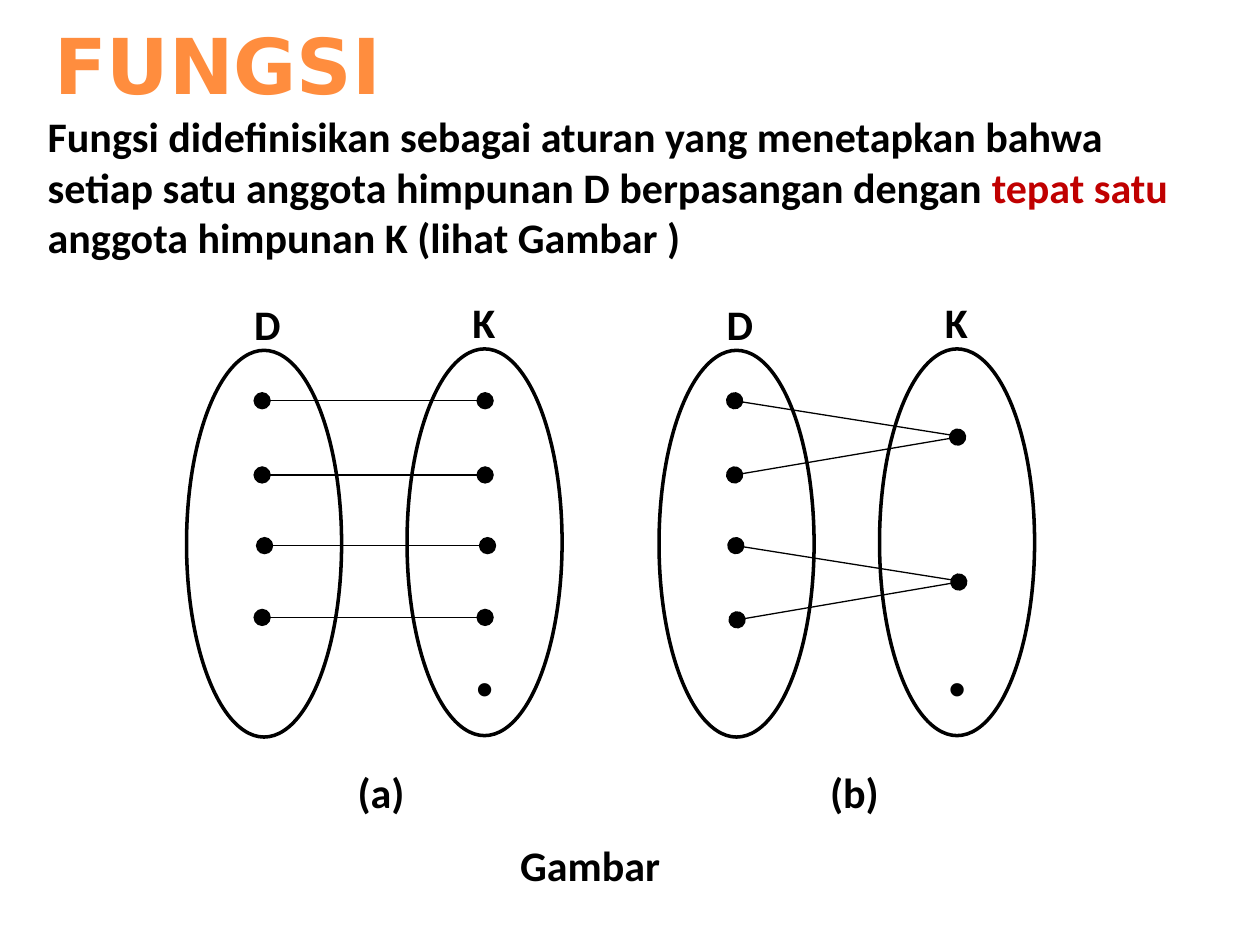
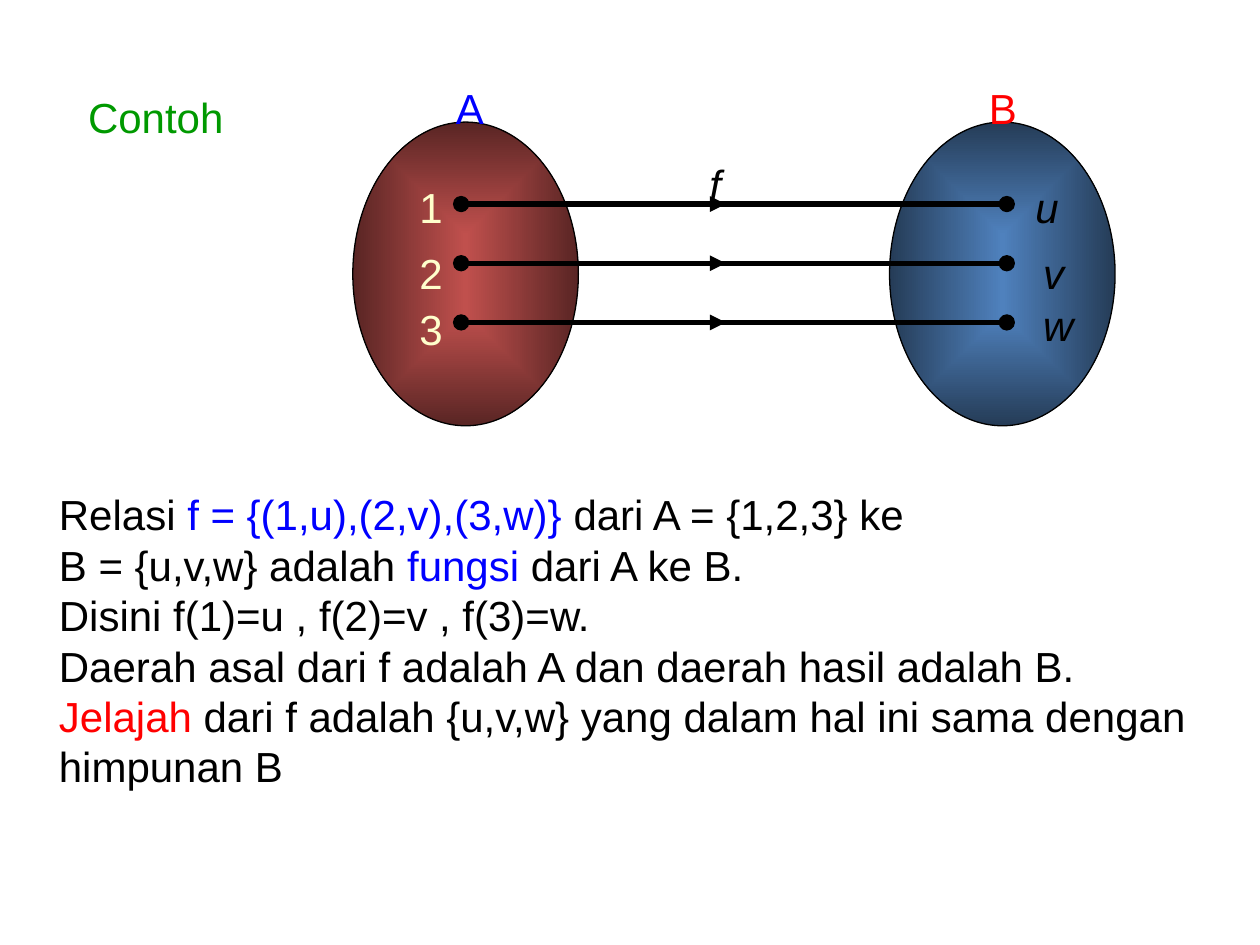
from lxml import etree
from pptx import Presentation
from pptx.dml.color import RGBColor
from pptx.enum.shapes import MSO_CONNECTOR as LINK, MSO_SHAPE as SHAPE
from pptx.enum.text import MSO_ANCHOR as ANCHOR, MSO_AUTO_SIZE as AUTO
from pptx.oxml import parse_xml
from pptx.oxml.ns import nsdecls, qn
from pptx.util import Pt

BLACK = RGBColor(0, 0, 0)
ORANGE = RGBColor(0xFF, 0x8D, 0x3E)
CRIMSON = RGBColor(0xC0, 0, 0)
BLUE = RGBColor(0, 0, 0xFF)
RED = RGBColor(0xFF, 0, 0)
GREEN = RGBColor(0, 0x99, 0)
CREAM = RGBColor(0xFF, 0xFF, 0xCC)
BRICK = (RGBColor(0xC0, 0x50, 0x4D), RGBColor(0x59, 0x25, 0x24))
STEEL = (RGBColor(0x4F, 0x81, 0xBD), RGBColor(0x25, 0x3C, 0x57))


def write(slide, text, x, y, w, h=36, font="Arial", size=24, color=BLACK,
          bold=False, italic=False, wrap=False, anchor=ANCHOR.TOP, auto=AUTO.SHAPE_TO_FIT_TEXT):
    """Add a text box; text is a string or a list of rows of (words, colour)."""
    frame = slide.shapes.add_textbox(Pt(x), Pt(y), Pt(w), Pt(h)).text_frame
    frame.word_wrap, frame.auto_size, frame.vertical_anchor = wrap, auto, anchor
    rows = [[(text, color)]] if isinstance(text, str) else text
    for num, row in enumerate(rows):
        par = frame.add_paragraph() if num else frame.paragraphs[0]
        for words, tint in row:
            run = par.add_run()
            run.text = words
            run.font.name, run.font.size = font, Pt(size)
            run.font.bold, run.font.italic = bold, italic
            run.font.color.rgb = tint


prs = Presentation()
prs.slide_width, prs.slide_height = Pt(720), Pt(540)
blank = prs.slide_layouts[6]
first, second = (prs.slides.add_slide(blank) for _ in range(2))

# Ovals: slide, left, top, width, height, fill, line width
ovals = []
# Lines: slide, start, end, width, head, tail
lines = []

# Slide 1: two mappings from D to K, side by side
STEP = 270
for left in (0, STEP):
    ovals += [(first, left + 106.6, 200.2, 88.6, 221, None, 2),
              (first, left + 232.6, 199.4, 88.6, 221, None, 2)]
for x, y in ((149.8, 229), (149.8, 271.4), (151.2, 311.8), (149.8, 352.8)):
    lines.append((first, (x, y), (x + 127.4, y), 0.75, "oval", "oval"))
for start, end, tail in (
        ((419.8, 229), (546.5, 249.1), None),
        ((419.8, 271.4), (547.2, 249.8), "oval"),
        ((420.5, 311.8), (547.2, 331.9), None),
        ((421.2, 354.2), (547.9, 332.6), "oval")):
    lines.append((first, start, end, 0.75, "oval", tail))

# Slide 2: sets A and B with three arrows
ROWS = [116.6 + 33.84 * i for i in range(3)]
FROM, MID, TO, DOT = 263.5, 414.7, 575.3, 8.6
ovals += [(second, 201.6, 69.8, 128.9, 173.5, BRICK, 0.75),
          (second, 508.3, 69.8, 128.9, 173.5, STEEL, 0.75)]
for y in ROWS:
    for x in (FROM, TO):
        ovals.append((second, x - DOT / 2, y - DOT / 2, DOT, DOT, BLACK, 0.75))
    lines += [(second, (FROM, y), (TO, y), 3, None, None),
              (second, (FROM, y), (MID, y), 3, None, "triangle")]

# Draw the ovals
for slide, x, y, w, h, fill, width in ovals:
    oval = slide.shapes.add_shape(SHAPE.OVAL, Pt(x), Pt(y), Pt(w), Pt(h))
    oval.shadow.inherit = False
    oval.line.color.rgb, oval.line.width = BLACK, Pt(width)
    if fill is None:
        oval.fill.background()
    elif fill is BLACK:
        oval.fill.solid()
        oval.fill.fore_color.rgb = fill
    else:
        oval.fill.gradient()
        for stop, tint, pos in zip(oval.fill.gradient_stops, fill, (0, 1)):
            stop.color.rgb, stop.position = tint, pos
        grad = oval._element.spPr.find(qn("a:gradFill"))
        grad.replace(grad.find(qn("a:lin")), parse_xml(
            f'<a:path {nsdecls("a")} path="rect">'
            '<a:fillToRect l="50000" t="50000" r="50000" b="50000"/></a:path>'))

# Draw the lines, with large round tips and medium arrowheads
for slide, start, end, width, head, tail in lines:
    line = slide.shapes.add_connector(LINK.STRAIGHT, *map(Pt, start + end))
    line.line.color.rgb, line.line.width = BLACK, Pt(width)
    for tag, tip in (("a:headEnd", head), ("a:tailEnd", tail)):
        if tip:
            size = "lg" if tip == "oval" else "med"
            etree.SubElement(line.line._get_or_add_ln(), qn(tag), type=tip, w=size, len=size)
    etree.SubElement(line._element.spPr, qn("a:effectLst"))

# Slide 1 text
write(first, "FUNGSI", 23.8, -16.6, 644.4, 82.8, font="DejaVu Sans", size=44,
      color=ORANGE, bold=True, wrap=True, anchor=ANCHOR.BOTTOM, auto=AUTO.NONE)
write(first, [[("Fungsi didefinisikan sebagai aturan yang menetapkan bahwa setiap satu "
                "anggota himpunan D berpasangan dengan ", BLACK),
               ("tepat satu ", CRIMSON),
               ("anggota himpunan K (lihat Gambar )", BLACK)]],
      20.2, 59.8, 679, 93.6, font="Calibri", bold=True, wrap=True)
for left, name in ((0, "(a)"), (STEP, "(b)")):
    for text, x, y, w in (("D", 138.2, 167, 31), ("K", 262.8, 165.8, 29),
                          (name, 197.3, 434.2, 46)):
        write(first, text, left + x, y, w, font="Calibri", bold=True)
    write(first, "•", left + 265, 372.2, 27, 41, size=28)
write(first, "Gambar", 290.2, 475.9, 103, font="Calibri", bold=True)

# Slide 2 labels
write(second, "Contoh", 43.2, 49, 98, color=GREEN)
write(second, "A", 253.4, 43.4, 32, color=BLUE)
write(second, "B", 558, 43.4, 32, color=RED)
for text, y in (("1", 100.1), ("2", 137.7), ("3", 170.1)):
    write(second, text, 232.6, y, 29, color=CREAM)
for text, x, y, w in (("f", 398.2, 87.1, 23), ("u", 584.6, 100.1, 29),
                      ("v", 589, 137.7, 28), ("w", 589, 167.8, 34)):
    write(second, text, x, y, w, italic=True)

# Slide 2 explanation
write(second, [
    [("Relasi ", BLACK), ("f = {(1,u),(2,v),(3,w)}", BLUE), (" dari A = {1,2,3} ke", BLACK)],
    [("B = {u,v,w} adalah ", BLACK), ("fungsi", BLUE), (" dari A ke B.", BLACK)],
    [("Disini f(1)=u , f(2)=v , f(3)=w.", BLACK)],
    [("Daerah asal dari f adalah A dan daerah hasil adalah B.", BLACK)],
    [("Jelajah", RED), (" dari f adalah {u,v,w} yang dalam hal ini sama dengan", BLACK)],
    [("himpunan B", BLACK)],
], 26.6, 275.8, 670, 180)

prs.save("out.pptx")
